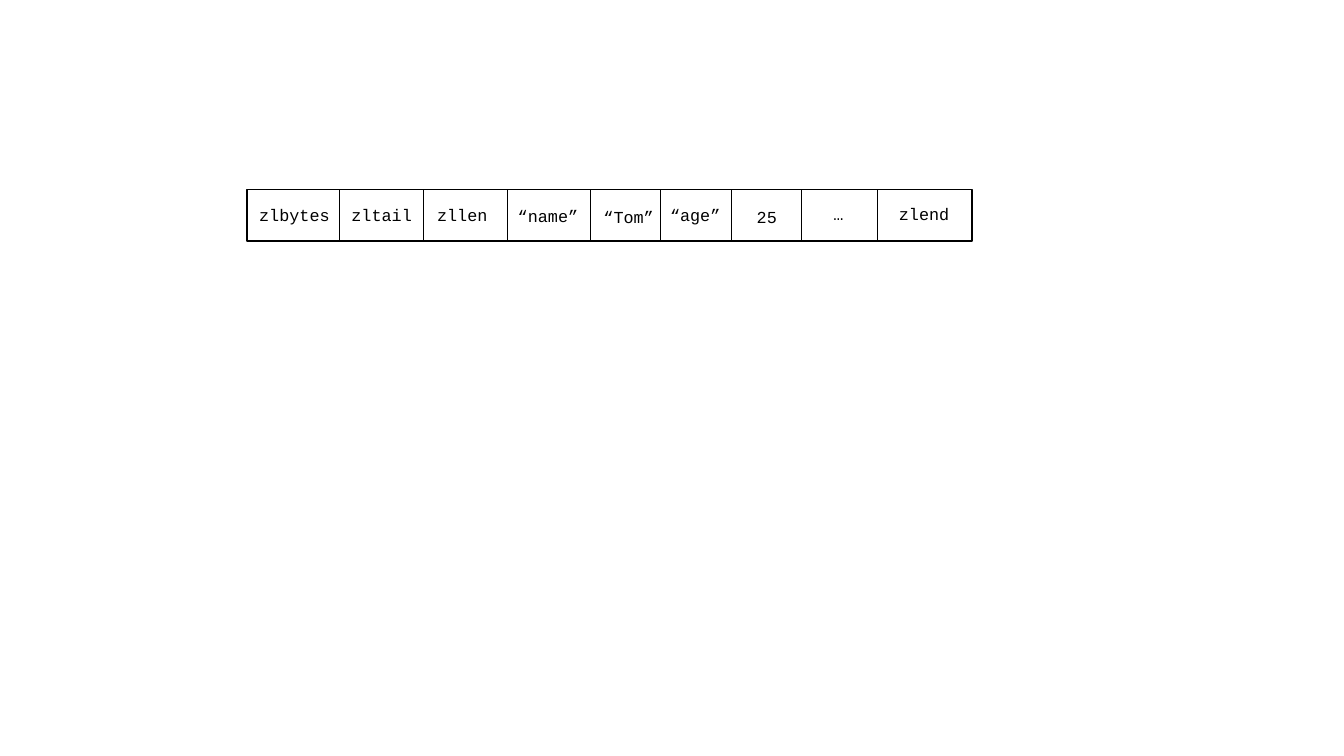
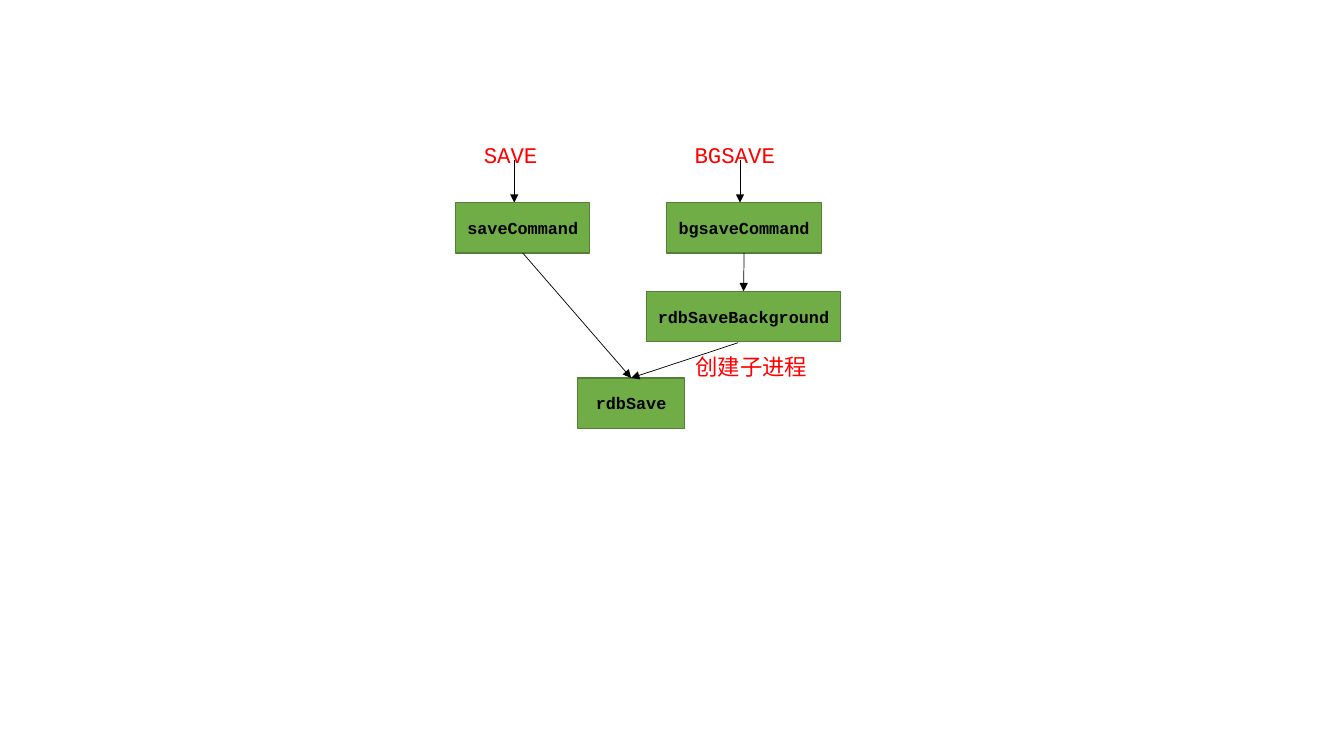
from lxml import etree
from pptx import Presentation
from pptx.dml import color
from pptx.enum import shapes, text
from pptx.oxml import ns
from pptx import util as u


def paint(value):
    return color.RGBColor.from_string(value)


class Sketch:
    wide, high = 13.33, 7.5
    cell = u.Inches(0.1)
    black, white, red = "000000", "FFFFFF", "FF0000"
    green, moss = "70AD47", "538035"
    mono, chinese = "Courier New", "Noto Sans CJK SC"
    plain = {"name": mono, "size": u.Pt(12)}
    strong = {**plain, "bold": True}
    note = {**plain, "size": u.Pt(16)}

    def __init__(self):
        self.deck = Presentation()
        self.deck.slide_width = u.Inches(self.wide)
        self.deck.slide_height = u.Inches(self.high)
        self.page = None

    def add_page(self):
        self.page = self.deck.slides.add_slide(self.deck.slide_layouts[6])

    def grid(self, *steps):
        return [round(step * self.cell) for step in steps]

    def set_words(self, box, words, style, ink, align):
        frame = box.text_frame
        frame.word_wrap = True
        para = frame.paragraphs[0]
        para.alignment = align
        span = para.add_run()
        span.text = words
        span.font.color.rgb = paint(ink)
        for name, value in style.items():
            setattr(span.font, name, value)
        east = etree.SubElement(span.font._element, ns.qn("a:ea"))
        east.set("typeface", style["name"])

    def label(self, words, left, top, width, height, style=plain,
              ink=black, align=text.PP_ALIGN.CENTER):
        box = self.page.shapes.add_textbox(*self.grid(left, top, width, height))
        self.set_words(box, words, style, ink, align)
        box.text_frame.auto_size = text.MSO_AUTO_SIZE.SHAPE_TO_FIT_TEXT

    def block(self, left, top, width, height, fill, edge, words=None):
        box = self.page.shapes.add_shape(
            shapes.MSO_SHAPE.RECTANGLE, *self.grid(left, top, width, height))
        box.shadow.inherit = False
        box.fill.solid()
        box.fill.fore_color.rgb = paint(fill)
        box.line.color.rgb = paint(edge)
        box.line.width = u.Pt(1)
        if words:
            box.text_frame.vertical_anchor = text.MSO_ANCHOR.MIDDLE
            self.set_words(box, words, self.strong, self.black, text.PP_ALIGN.CENTER)
        return box

    def line(self, start, finish, arrow=False):
        link = self.page.shapes.add_connector(
            shapes.MSO_CONNECTOR.STRAIGHT, *self.grid(*start, *finish))
        link.line.color.rgb = paint(self.black)
        link.line.width = u.Pt(0.5)
        if arrow:
            outline = link._element.spPr.find(ns.qn("a:ln"))
            tip = etree.SubElement(outline, ns.qn("a:tailEnd"))
            tip.set("type", "triangle")
        etree.SubElement(link._element.spPr, ns.qn("a:effectLst"))
        return link

    def join(self, source, target):
        link = self.line((0, 0), (0, 0), arrow=True)
        link.begin_connect(source, 2)
        link.end_connect(target, 0)


def ziplist_page(sketch):
    sketch.add_page()
    left, top, width, height = 24.5, 18.8, 71.9, 5.1
    sketch.block(left, top, width, height, sketch.white, sketch.black)
    fields = [
        ("zlbytes", 9.2, 29.2, 19.8),
        ("zltail", 8.3, 37.85, 19.8),
        ("zllen", 8.3, 45.85, 19.8),
        ("“name”", 8.3, 54.35, 19.9),
        ("“Tom”", 6.9, 62.35, 20),
        ("“age”", 7, 68.95, 19.8),
        ("25", 7, 76.05, 20),
        ("…", 7.5, 83.15, 19.7),
        ("zlend", 9.4, 91.65, 19.7),
    ]
    label_width = 11.5
    edge = left
    for words, span, centre, label_top in fields:
        if edge > left:
            sketch.line((edge, top), (edge, top + 5))
        sketch.label(words, centre - label_width / 2, label_top, label_width, 3)
        edge += span


def save_page(sketch):
    sketch.add_page()
    commands = [("SAVE", 47, 8, 51), ("BGSAVE", 67.9, 11, 73.4)]
    for words, left, width, arrow in commands:
        sketch.label(words, left, 13.5, width, 3.7, sketch.note,
                     sketch.red, text.PP_ALIGN.LEFT)
        sketch.line((arrow, 15.9), (arrow, 20.1), arrow=True)
    functions = [
        ("rdbSave", 57.3, 37.5, 10.6),
        ("saveCommand", 45.2, 20.1, 13.3),
        ("bgsaveCommand", 66.1, 20.1, 15.4),
        ("rdbSaveBackground", 64.1, 28.9, 19.3),
    ]
    rdb_save, save, bgsave, background = [
        sketch.block(left, top, width, 5, sketch.green, sketch.moss, words)
        for words, left, top, width in functions]
    sketch.join(bgsave, background)
    sketch.join(save, rdb_save)
    sketch.line((73.2, 34), (62.6, 37.5), arrow=True)
    sketch.label("创建子进程", 68, 34.5, 13.7, 3.7,
                 {**sketch.note, "name": sketch.chinese},
                 sketch.red, text.PP_ALIGN.LEFT)


sketch = Sketch()
ziplist_page(sketch)
save_page(sketch)
sketch.deck.save("out.pptx")
